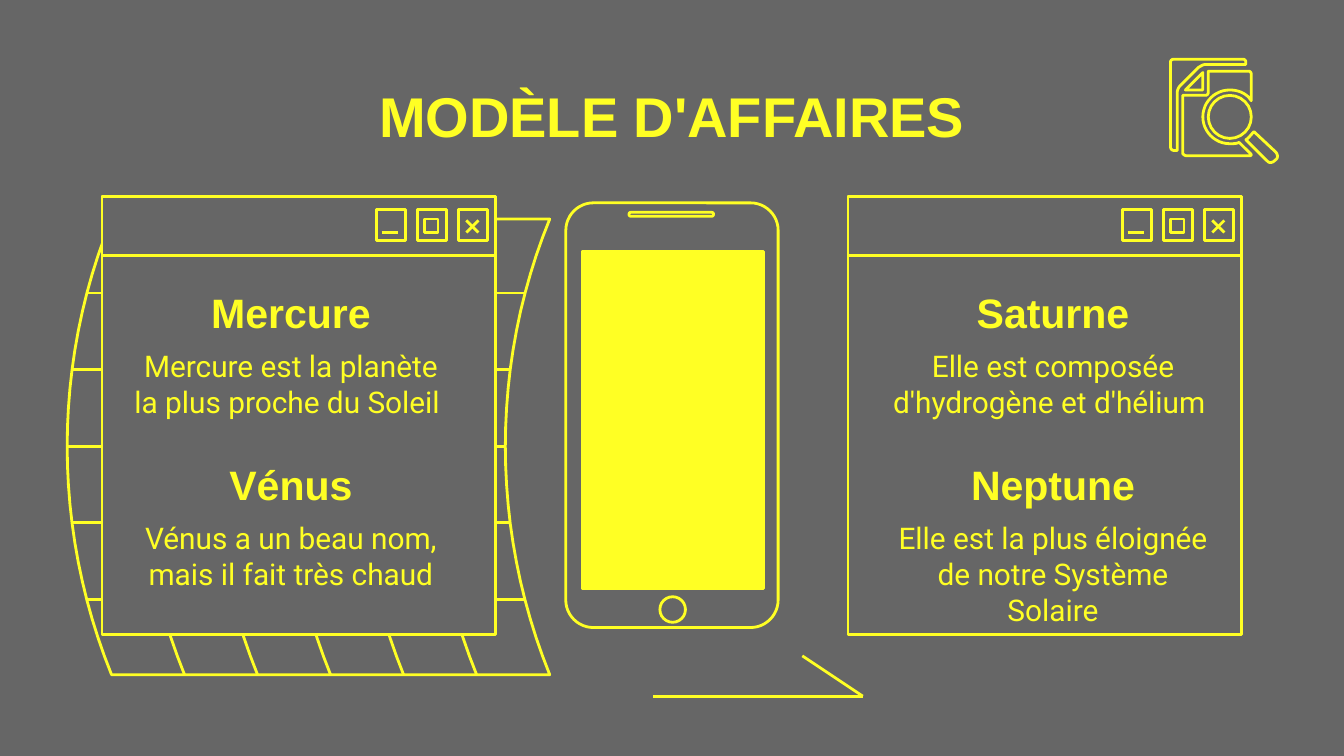
from typing import NamedTuple

from lxml import etree
from pptx import Presentation
from pptx.dml.color import RGBColor
from pptx.enum import shapes as es, text as et
from pptx.oxml import ns
from pptx.util import Inches, Pt

INK, BACK = "FFFF24", "666666"
KIND = es.MSO_SHAPE
WIDTH = 10


class Box(NamedTuple):
    x: float
    y: float
    w: float
    h: float


class Entry(NamedTuple):
    x: float
    y: float
    head: str
    body: str


ENTRIES = [
    Entry(6.53, 2.04, "Saturne", "Elle est composée d'hydrogène et d'hélium "),
    Entry(6.53, 3.32, "Neptune", "Elle est la plus éloignée de notre Système Solaire"),
    Entry(0.86, 2.04, "Mercure", "Mercure est la planète la plus proche du Soleil "),
    Entry(0.86, 3.32, "Vénus", "Vénus a un beau nom, mais il fait très chaud"),
]

# Outlines: a pair is a corner, six numbers are a Bézier curve
REAR_PAGE = [
    (8.74, 0.44), (8.72, 0.44, 8.71, 0.45, 8.71, 0.46), (8.71, 1.09),
    (8.71, 1.11, 8.72, 1.12, 8.74, 1.12), (8.76, 1.12), (8.76, 0.69),
    (8.76, 0.67, 8.77, 0.65, 8.78, 0.64), (8.92, 0.5),
    (8.94, 0.49, 8.95, 0.48, 8.97, 0.48), (9.27, 0.48), (9.27, 0.46),
    (9.27, 0.45, 9.26, 0.44, 9.25, 0.44),
]
FOLD = [(8.95, 0.54), (8.82, 0.67), (8.95, 0.67)]
FRONT_PAGE = [
    (8.99, 0.53), (8.99, 0.69), (8.99, 0.7, 8.98, 0.71, 8.97, 0.71), (8.8, 0.71),
    (8.8, 1.14), (8.8, 1.15, 8.82, 1.16, 8.83, 1.16), (9.29, 1.16),
    (9.3, 1.16, 9.31, 1.16, 9.31, 1.15), (9.22, 1.06),
    (9.2, 1.07, 9.18, 1.07, 9.15, 1.07), (9.04, 1.07, 8.95, 0.98, 8.95, 0.87),
    (8.95, 0.76, 9.04, 0.67, 9.15, 0.67), (9.22, 0.67, 9.28, 0.7, 9.31, 0.75),
    (9.31, 0.55), (9.31, 0.54, 9.3, 0.53, 9.29, 0.53),
]
HANDLE = [
    (9.33, 0.98), (9.31, 1, 9.29, 1.03, 9.27, 1.04), (9.42, 1.19),
    (9.43, 1.2, 9.44, 1.21, 9.45, 1.21), (9.47, 1.21, 9.48, 1.2, 9.49, 1.19),
    (9.51, 1.18, 9.51, 1.15, 9.49, 1.13),
]
ARC = [(0.83, 1.63), (0.39, 2.71, 0.39, 3.93, 0.83, 5.02)]


def color(code: str) -> RGBColor:
    return RGBColor.from_string(code)


def style(shape, fill: str | None = None) -> None:
    shape.shadow.inherit = False
    if fill:
        shape.fill.solid()
        shape.fill.fore_color.rgb = color(fill)
    else:
        shape.fill.background()
    shape.line.color.rgb = color(INK)
    shape.line.width = Pt(1.5)


def trace(steps: list[tuple], count: int = 12) -> list[tuple]:
    """Turn corners and curves into a list of points."""
    points = []
    for step in steps:
        if len(step) == 2:
            points.append(step)
            continue
        nodes = [points[-1], step[:2], step[2:4], step[4:]]
        for i in range(1, count + 1):
            t = i / count
            parts = ((1 - t) ** 3, 3 * t * (1 - t) ** 2, 3 * t * t * (1 - t), t ** 3)
            points.append(tuple(sum(k * n[a] for k, n in zip(parts, nodes))
                                for a in (0, 1)))
    return points


def outline(slide, points: list[tuple], close: bool = True) -> None:
    spots = [(Inches(x), Inches(y)) for x, y in points]
    pen = slide.shapes.build_freeform(*spots[0], scale=1.0)
    pen.add_line_segments(spots[1:], close=close)
    style(pen.convert_to_shape())


def block(slide, kind, box: Box, fill: str | None = BACK, bend: float = 0) -> None:
    shape = slide.shapes.add_shape(kind, *map(Inches, box))
    if bend:
        shape.adjustments[0] = bend
    style(shape, fill)


def line(slide, x1: float, y1: float, x2: float, y2: float) -> None:
    rule = slide.shapes.add_connector(
        es.MSO_CONNECTOR.STRAIGHT, *map(Inches, (x1, y1, x2, y2)))
    rule.line.color.rgb = color(INK)
    rule.line.width = Pt(1.5)
    etree.SubElement(rule._element.spPr, ns.qn("a:effectLst"))


def window(slide, x: float) -> None:
    for tall in (3.26, 0.44):
        block(slide, KIND.RECTANGLE, Box(x, 1.46, 2.93, tall))
    for i in range(3):
        block(slide, KIND.RECTANGLE, Box(x + 2.04 + 0.305 * i, 1.56, 0.22, 0.23))
    line(slide, x + 2.08, 1.73, x + 2.2, 1.73)
    line(slide, x + 2.71, 1.73, x + 2.8, 1.64)
    line(slide, x + 2.8, 1.73, x + 2.71, 1.64)
    block(slide, KIND.RECTANGLE, Box(x + 2.4, 1.63, 0.1, 0.1))


def write(shape, box: Box, words: str, size: float, font: str, bold: bool) -> None:
    shape.left, shape.top, shape.width, shape.height = map(Inches, box)
    frame = shape.text_frame
    frame.text = words
    frame.word_wrap = True
    frame.auto_size = et.MSO_AUTO_SIZE.NONE
    frame.vertical_anchor = et.MSO_ANCHOR.TOP
    frame.margin_left = frame.margin_right = Inches(0.1)
    frame.margin_top = frame.margin_bottom = Inches(0.1)
    para = frame.paragraphs[0]
    props = para._p.get_or_add_pPr()
    props.set("marL", "0")
    props.set("indent", "0")
    etree.SubElement(props, ns.qn("a:buNone"))
    para.alignment = et.PP_ALIGN.CENTER
    para.space_before = Pt(0)
    face = para.runs[0].font
    face.name, face.size, face.bold = font, Pt(size), bold
    face.color.rgb = color(INK)


def main() -> None:
    deck = Presentation()
    deck.slide_width, deck.slide_height = Inches(WIDTH), Inches(WIDTH * 9 / 16)
    slide = deck.slides.add_slide(deck.slide_layouts[4])
    slide.background.fill.solid()
    slide.background.fill.fore_color.rgb = color(BACK)
    title, *bodies = list(slide.placeholders)

    # Pages and magnifier
    for steps in (REAR_PAGE, FOLD, FRONT_PAGE, HANDLE):
        outline(slide, trace(steps))
    block(slide, KIND.OVAL, Box(8.99, 0.71, 0.32, 0.32), None)

    # Curved grid
    arc, wide = trace(ARC, 24), 3.26
    outline(slide, arc + [(x + wide, y) for x, y in reversed(arc)])
    for i, x in enumerate((0.64, 0.53, 0.49, 0.53, 0.64)):
        y = 2.18 + 0.57 * i
        line(slide, x, y, x + wide, y)
    for i in range(1, 6):
        outline(slide, [(x + wide / 6 * i, y) for x, y in arc], close=False)

    # Windows
    for x in (6.31, 0.76):
        window(slide, x)

    # Phone
    block(slide, KIND.ROUNDED_RECTANGLE, Box(4.21, 1.51, 1.58, 3.16), bend=0.13)
    block(slide, KIND.OVAL, Box(4.91, 4.44, 0.19, 0.19))
    block(slide, KIND.ROUNDED_RECTANGLE, Box(4.68, 1.58, 0.63, 0.03), bend=0.5)
    block(slide, KIND.RECTANGLE, Box(4.33, 1.87, 1.35, 2.51), INK)

    # Half arrow
    line(slide, 4.86, 5.18, 6.42, 5.18)
    line(slide, 5.97, 4.88, 6.42, 5.18)

    # Texts, placed above the windows
    write(title, Box(0.78, 0.51, 8.44, 0.63), "MODÈLE D'AFFAIRES", 30, "Arial", True)
    for body, item in zip(bodies, ENTRIES):
        head = slide.shapes.add_textbox(0, 0, 0, 0)
        write(head, Box(item.x, item.y, 2.61, 0.53), item.head, 22, "Arial", True)
        write(body, Box(item.x, item.y + 0.45, 2.61, 0.77), item.body, 16, "Roboto", False)
        slide.shapes._spTree.append(body._element)

    deck.save("out.pptx")


if __name__ == "__main__":
    main()
